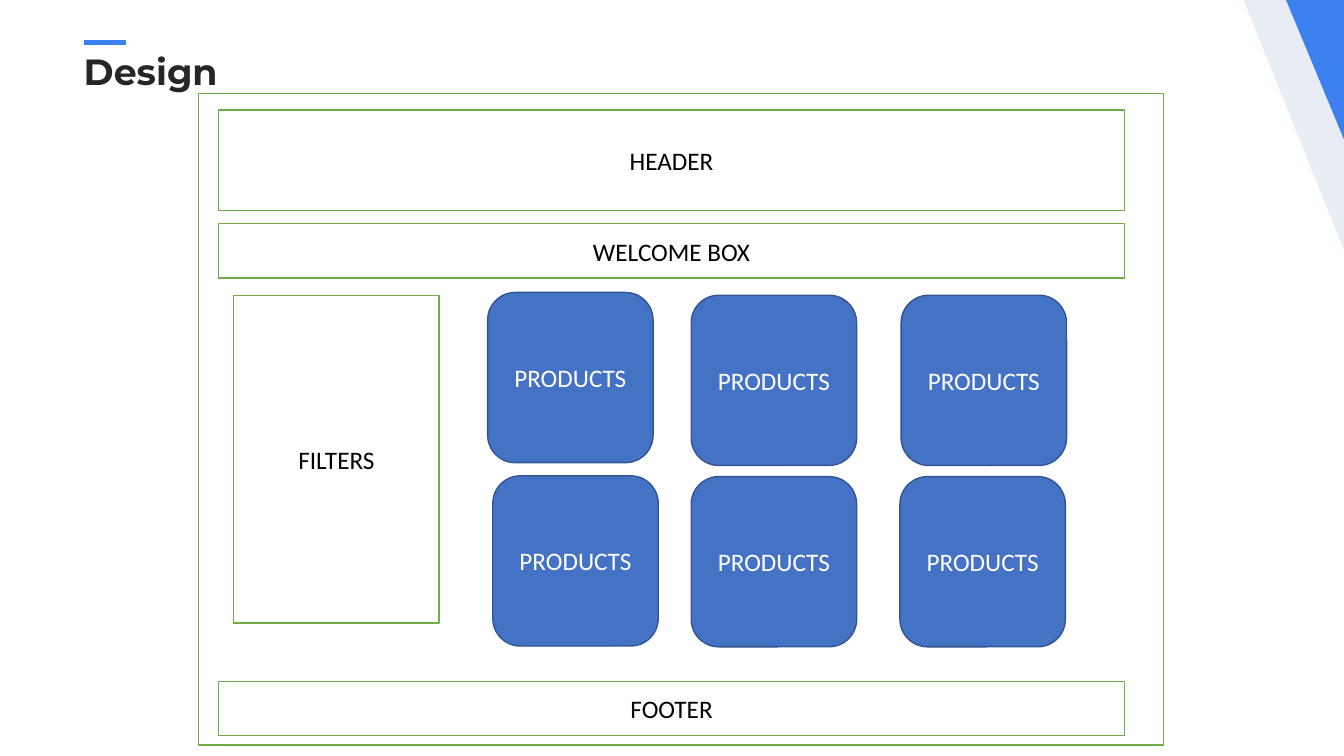
from dataclasses import dataclass

from pptx import Presentation
from pptx import util as u
from pptx.dml.color import RGBColor
from pptx.enum import shapes, text
from pptx.oxml import parse_xml
from pptx.oxml.ns import nsdecls

HUES = {
    "accent": "3B80EE", "pale": "E8ECF4", "title": "262626",
    "white": "FFFFFF", "black": "000000", "green": "70AD47",
    "blue": "4472C4", "navy": "325491",
}


@dataclass
class Style:
    kind: int
    fill: str
    edge: str
    ink: str


@dataclass
class Block:
    label: str
    x: float
    y: float
    w: float
    h: float
    style: Style


PANEL = Style(shapes.MSO_SHAPE.RECTANGLE, "white", "green", "black")
CARD = Style(shapes.MSO_SHAPE.ROUNDED_RECTANGLE, "blue", "navy", "white")

BAND_X, BAND_W, BAND_H = 5.51, 22.83, 1.37
CARD_W, CARD_H = 4.17, 4.29
CARDS = [(12.29, 7.37), (17.42, 7.44), (22.71, 7.44),
         (12.42, 11.99), (17.42, 12.01), (22.68, 12.01)]

BLOCKS = [
    Block("", 5, 2.36, 24.33, 16.41, PANEL),
    Block("HEADER", BAND_X, 2.77, BAND_W, 2.54, PANEL),
    Block("FILTERS", 5.89, 7.44, 5.18, 8.26, PANEL),
    *[Block("PRODUCTS", x, y, CARD_W, CARD_H, CARD) for x, y in CARDS],
    Block("WELCOME BOX", BAND_X, 5.64, BAND_W, BAND_H, PANEL),
    Block("FOOTER", BAND_X, 17.17, BAND_W, BAND_H, PANEL),
]

CORNERS = [
    ("pale", [(31.34, 0), (33.87, 6.3), (33.87, 2.44), (32.89, 0)]),
    ("accent", [(32.41, 0), (33.87, 3.51), (33.87, 0)]),
]


def hue(name: str) -> RGBColor:
    return RGBColor.from_string(HUES[name])


def set_font(para, face: str, size: float, ink: str, bold: bool = False) -> None:
    for run in para.runs:
        font = run.font
        font.name, font.size, font.bold = face, u.Pt(size), bold
        font.color.rgb = hue(ink)


def draw_corner(slide, fill: str, points: list) -> None:
    start, *rest = [(u.Cm(x), u.Cm(y)) for x, y in points]
    pen = slide.shapes.build_freeform(*start)
    pen.add_line_segments(rest, close=True)
    shape = pen.convert_to_shape()
    shape.shadow.inherit = False
    shape.fill.solid()
    shape.fill.fore_color.rgb = hue(fill)
    shape.line.fill.background()


def draw_accent(slide) -> None:
    line = slide.shapes.add_connector(
        shapes.MSO_CONNECTOR.STRAIGHT, u.Cm(2.11), u.Cm(1.07), u.Cm(3.17), u.Cm(1.07))
    line.line.color.rgb = hue("accent")
    line.line.width = u.Pt(4)
    line._element.spPr.append(parse_xml(f"<a:effectLst {nsdecls('a')}/>"))


def draw_title(slide, words: str) -> None:
    title = slide.shapes.title
    title.left, title.top = u.Cm(2.11), u.Cm(1.07)
    title.width, title.height = u.Cm(31.06), u.Cm(1.68)
    frame = title.text_frame
    frame.text = words
    frame.word_wrap = True
    frame.vertical_anchor = text.MSO_ANCHOR.TOP
    frame.margin_left = 0
    frame.margin_top = frame.margin_right = frame.margin_bottom = u.Cm(0.3)
    para = frame.paragraphs[0]
    para.alignment = text.PP_ALIGN.LEFT
    para.line_spacing = 0.9
    set_font(para, "Montserrat", 26, "title", True)


def draw_block(slide, block: Block) -> None:
    style = block.style
    shape = slide.shapes.add_shape(
        style.kind, u.Cm(block.x), u.Cm(block.y), u.Cm(block.w), u.Cm(block.h))
    shape.shadow.inherit = False
    shape.fill.solid()
    shape.fill.fore_color.rgb = hue(style.fill)
    shape.line.color.rgb = hue(style.edge)
    shape.line.width = u.Pt(1)
    if block.label:
        frame = shape.text_frame
        frame.text = block.label
        frame.vertical_anchor = text.MSO_ANCHOR.MIDDLE
        para = frame.paragraphs[0]
        para.alignment = text.PP_ALIGN.CENTER
        set_font(para, "Calibri", 18, style.ink)


def main() -> None:
    deck = Presentation()
    deck.slide_width, deck.slide_height = u.Cm(33.87), u.Cm(19.05)
    slide = deck.slides.add_slide(deck.slide_layouts.get_by_name("Title Only"))

    # Decoration and title
    draw_accent(slide)
    for fill, points in CORNERS:
        draw_corner(slide, fill, points)
    draw_title(slide, "Design")

    # Page wireframe
    for block in BLOCKS:
        draw_block(slide, block)

    deck.save("out.pptx")


if __name__ == "__main__":
    main()
